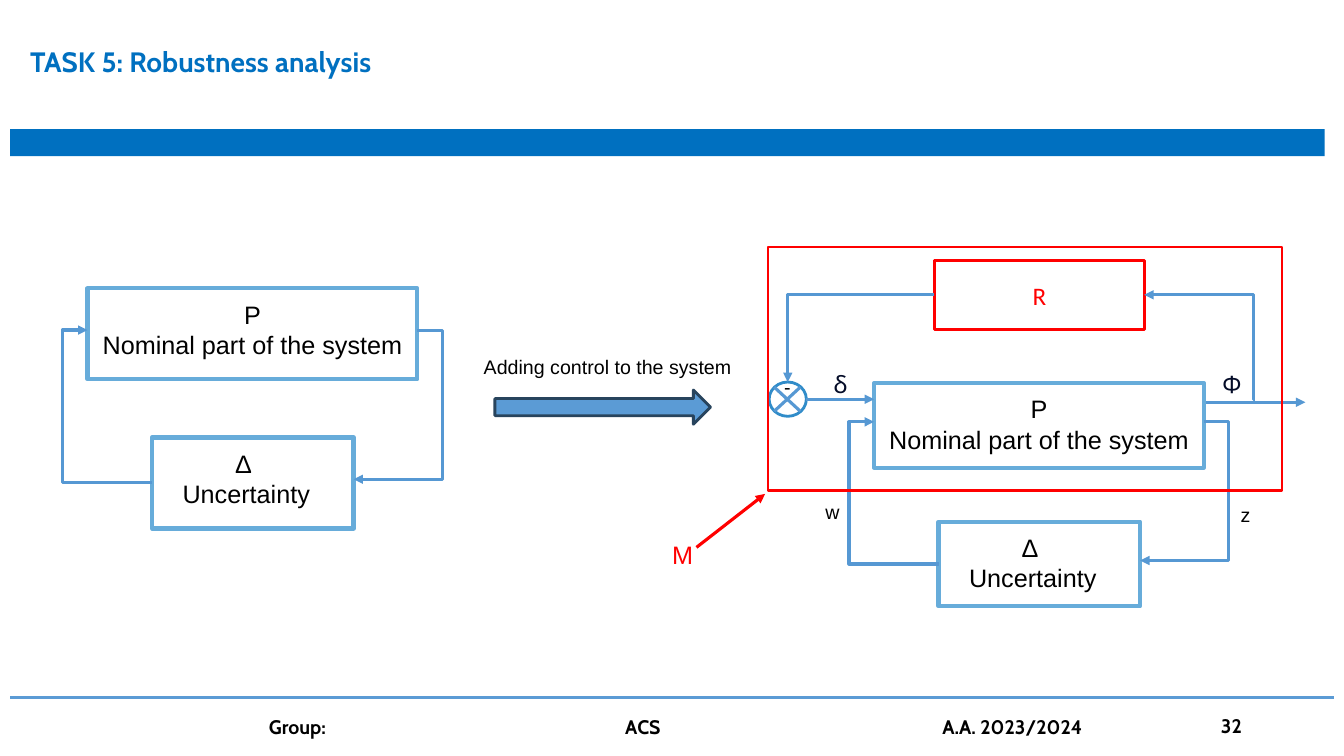
from lxml import etree
from pptx import Presentation
from pptx.dml.color import RGBColor
from pptx.enum.shapes import MSO_CONNECTOR, MSO_SHAPE
from pptx.enum.text import MSO_ANCHOR, PP_ALIGN
from pptx.oxml.ns import qn
from pptx.util import Pt

RECTANGLE = MSO_SHAPE.RECTANGLE
PROCESS = MSO_SHAPE.FLOWCHART_PROCESS
JUNCTION = MSO_SHAPE.FLOWCHART_CONNECTOR
RIGHT_ARROW = MSO_SHAPE.RIGHT_ARROW
STRAIGHT, ELBOW = MSO_CONNECTOR.STRAIGHT, MSO_CONNECTOR.ELBOW
LEFT_ALIGN, CENTER, RIGHT_ALIGN = PP_ALIGN.LEFT, PP_ALIGN.CENTER, PP_ALIGN.RIGHT
MIDDLE = MSO_ANCHOR.MIDDLE
TOP_SIDE, LEFT_SIDE, RIGHT_SIDE = 0, 1, 3

COLORS = {
    "title": "0070C0", "rule": "5B9BD5", "block": "67ACDA", "signal": "5698D3",
    "arrow edge": "28445D", "sum edge": "308CC9", "red": "FF0000",
    "black": "000000", "white": "FFFFFF", "symbol": "040C28",
}


def rgb(name):
    return RGBColor.from_string(COLORS[name])


class Diagram:
    def __init__(self, slide):
        self.shapes = slide.shapes

    def fill_frame(self, frame, text, size, color, font, align, bold):
        frame.word_wrap = True
        frame.text = text
        for para in frame.paragraphs:
            para.alignment = align
            para.font.name = font
            para.font.size = Pt(size)
            para.font.bold = bold
            para.font.color.rgb = rgb(color)

    def text(self, left, top, width, height, text, size=14, color="black",
             font="Arial", align=LEFT_ALIGN, bold=False):
        box = self.shapes.add_textbox(Pt(left), Pt(top), Pt(width), Pt(height))
        self.fill_frame(box.text_frame, text, size, color, font, align, bold)
        return box

    def shape(self, kind, left, top, width, height, fill=None, line=None, weight=2):
        shape = self.shapes.add_shape(kind, Pt(left), Pt(top), Pt(width), Pt(height))
        shape.shadow.inherit = False
        if fill:
            shape.fill.solid()
            shape.fill.fore_color.rgb = rgb(fill)
        else:
            shape.fill.background()
        if line:
            shape.line.color.rgb = rgb(line)
            shape.line.width = Pt(weight)
        else:
            shape.line.fill.background()
        return shape

    def connect(self, start, end, color="signal", weight=2.25, head=True,
                kind=STRAIGHT, bend=None):
        """Join two ends, each an (x, y) point or a (shape, side) pair."""
        line = self.shapes.add_connector(kind, 0, 0, 0, 0)
        if isinstance(start[0], (int, float)):
            line.begin_x, line.begin_y = Pt(start[0]), Pt(start[1])
        else:
            line.begin_connect(*start)
        if isinstance(end[0], (int, float)):
            line.end_x, line.end_y = Pt(end[0]), Pt(end[1])
        else:
            line.end_connect(*end)
        line.line.color.rgb = rgb(color)
        line.line.width = Pt(weight)
        properties = line.element.spPr
        if head:
            etree.SubElement(properties.find(qn("a:ln")), qn("a:tailEnd"), type="triangle")
        etree.SubElement(properties, qn("a:effectLst"))
        if kind == ELBOW:
            self.set_bend(properties.find(qn("a:prstGeom")), bend)

    def set_bend(self, geometry, bend):
        """Place the middle leg at a share of the width; None gives one corner."""
        if bend is None:
            geometry.set("prst", "bentConnector2")
            return
        guides = geometry.find(qn("a:avLst"))
        if guides is None:
            guides = etree.SubElement(geometry, qn("a:avLst"))
        etree.SubElement(guides, qn("a:gd"), name="adj1", fmla=f"val {round(bend * 100000)}")

    def uncertain_plant(self, left, top, stretch=1):
        """Draw the P and Δ blocks and the loop that joins them."""
        def block(x, y, width, text_x, text_width, text):
            y = top + y * stretch
            box = self.shape(RECTANGLE, x, y, width, 65 * stretch, line="block", weight=3)
            label = self.text(text_x, y + 4.3 * stretch, text_width, 51 * stretch,
                              text, 18, align=CENTER)
            return box, label

        nominal = block(left, 0, 235.5, left, 235.5, "P\nNominal part of the system")
        delta = block(left + 46, 106.5, 144, left + 36.7, 153.3, "Δ \nUncertainty")
        self.connect((nominal[1], RIGHT_SIDE), (delta[1], RIGHT_SIDE), kind=ELBOW, bend=-0.39)
        self.connect((delta[0], LEFT_SIDE), (nominal[1], LEFT_SIDE), kind=ELBOW, bend=1.39)


def main():
    deck = Presentation()
    deck.slide_width, deck.slide_height = Pt(960), Pt(540)
    page = Diagram(deck.slides.add_slide(deck.slide_layouts[6]))

    # Title and footer
    page.text(14.4, 28, 587, 80, "TASK 5: Robustness analysis", 20, "title", "Cabin", bold=True)
    page.shape(RECTANGLE, 7.2, 92.2, 939, 19.4, fill="title")
    page.connect((7.2, 498.2), (952.6, 498.2), "rule", 2.75, head=False)
    for left, width, label in ((185, 100, "Group:"), (439.5, 80, "ACS"),
                               (666, 150, "A.A. 2023/2024")):
        page.text(left, 507, width, 24.5, label, font="Cabin", bold=True)
    number = page.text(678.2, 504, 216, 28.8, "32", font="Cabin", align=RIGHT_ALIGN, bold=True)
    number.text_frame.vertical_anchor = MIDDLE

    # Uncertain system without control
    page.uncertain_plant(62.6, 206)
    page.shape(RIGHT_ARROW, 353.5, 278.6, 154, 24.5, "rule", "arrow edge")
    page.text(338.4, 249.8, 207.4, 24.5, "Adding control to the system")

    # Controlled system
    page.connect((860.4, 287.3), (932.4, 287.3))
    page.uncertain_plant(624.4, 273.6, 0.93)
    regulator = page.shape(PROCESS, 667.5, 185.8, 149.8, 49.7, line="red")
    page.fill_frame(regulator.text_frame, "R", 18, "red", "Calibri", CENTER, False)
    regulator.text_frame.vertical_anchor = MIDDLE
    junction = page.shape(JUNCTION, 549.4, 272.9, 26.6, 24.5, "white", "sum edge")
    page.connect((576, 285.2), (624.4, 285.2))
    page.connect((regulator, LEFT_SIDE), (junction, TOP_SIDE), kind=ELBOW)
    page.connect((896.4, 285.2), (regulator, RIGHT_SIDE), kind=ELBOW, bend=0.01)
    page.connect((553, 276.5), (571.7, 293.8), head=False)
    page.connect((571.7, 276.5), (553, 293.8), head=False)
    for left, top, width, label in ((553, 264.2, 16.6, "-"), (879.1, 355.7, 34.6, "z"),
                                    (582.5, 353.5, 34.6, "w")):
        page.text(left, top, width, 24.5, label)
    for left, label in ((588.2, "δ"), (866, "Φ")):
        page.text(left, 260.3, 30, 28, label, 17, "symbol", "Cabin")

    # System M seen by the uncertainty
    page.shape(PROCESS, 548.6, 176.4, 367.2, 174.2, line="red")
    page.connect((497.5, 391), (546.5, 352.8), "red")
    page.text(473, 381.6, 58.3, 28.8, "M", 18, "red")

    deck.save("out.pptx")


if __name__ == "__main__":
    main()
